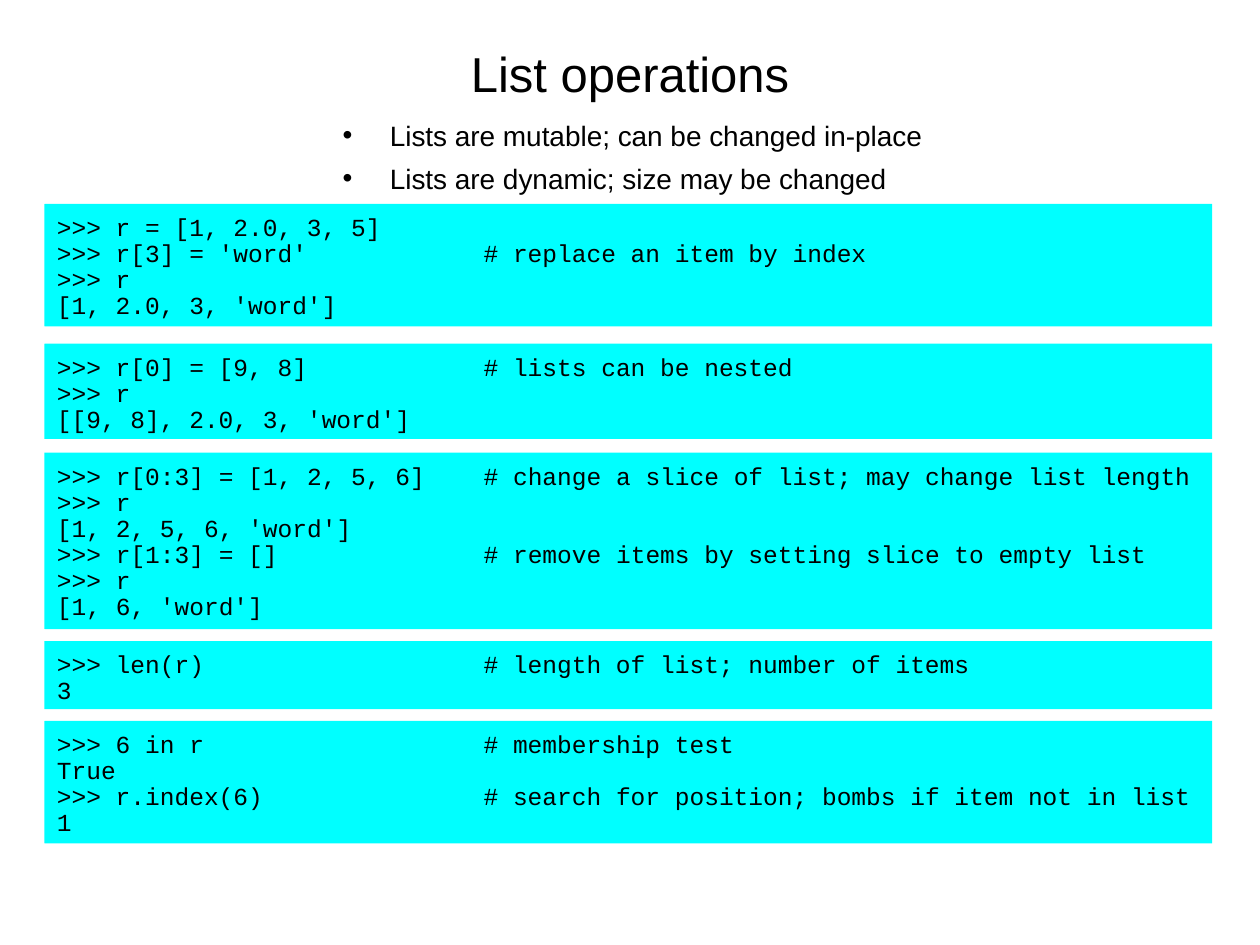
from dataclasses import dataclass

from lxml.etree import SubElement
from pptx import Presentation
from pptx.dml.color import RGBColor
from pptx.enum.shapes import MSO_SHAPE
from pptx.enum.text import MSO_ANCHOR, PP_ALIGN
from pptx.oxml.ns import qn
from pptx.util import Pt

TITLE = "List operations"
POINTS = [
    "Lists are mutable; can be changed in-place",
    "Lists are dynamic; size may be changed",
]
# Each code panel: top edge in points, then its lines
PANELS = [
    (116.6, [
        ">>> r = [1, 2.0, 3, 5]",
        ">>> r[3] = 'word'            # replace an item by index",
        ">>> r",
        "[1, 2.0, 3, 'word']",
    ]),
    (196.4, [
        ">>> r[0] = [9, 8]            # lists can be nested",
        ">>> r",
        "[[9, 8], 2.0, 3, 'word']",
    ]),
    (258.6, [
        ">>> r[0:3] = [1, 2, 5, 6]    # change a slice of list; may change list length",
        ">>> r",
        "[1, 2, 5, 6, 'word']",
        ">>> r[1:3] = []              # remove items by setting slice to empty list",
        ">>> r",
        "[1, 6, 'word']",
    ]),
    (366.4, [
        ">>> len(r)                   # length of list; number of items",
        "3",
    ]),
    (412, [
        ">>> 6 in r                   # membership test",
        "True",
        ">>> r.index(6)               # search for position; bombs if item not in list",
        "1",
    ]),
]


@dataclass(frozen=True)
class Theme:
    ink: RGBColor = RGBColor(0, 0, 0)
    panel: RGBColor = RGBColor(0, 255, 255)
    text_font: str = "Arial"
    code_font: str = "Courier New"
    title_size: float = 28
    point_size: float = 16
    code_size: float = 14


theme = Theme()
PANEL_LEFT, PANEL_WIDTH = 25.4, 667.3
PANEL_PADDING, PANEL_LINE = 7.9, 15.5
CODE_PITCH = 14.9
BULLET_INDENT = 27


def set_text(box, lines, font, size, insets=(0, 0, 0, 0), align=PP_ALIGN.LEFT):
    """Fill a box with one paragraph per line and return the paragraphs."""
    frame = box.text_frame
    frame.word_wrap = True
    frame.vertical_anchor = MSO_ANCHOR.TOP
    (frame.margin_left, frame.margin_top,
     frame.margin_right, frame.margin_bottom) = map(Pt, insets)
    frame.text = "\n".join(lines)
    for paragraph in frame.paragraphs:
        paragraph.alignment = align
        for span in paragraph.runs:
            span.font.name = font
            span.font.size = Pt(size)
            span.font.color.rgb = theme.ink
    return frame.paragraphs


def add_bullet(paragraph):
    properties = paragraph._p.get_or_add_pPr()
    properties.set("marL", str(Pt(BULLET_INDENT)))
    properties.set("indent", str(-Pt(BULLET_INDENT)))
    SubElement(properties, qn("a:buFont")).set("typeface", theme.text_font)
    SubElement(properties, qn("a:buChar")).set("char", "•")


def add_panel(page, top, lines):
    height = PANEL_PADDING + PANEL_LINE * len(lines)
    panel = page.shapes.add_shape(
        MSO_SHAPE.ROUNDED_RECTANGLE,
        Pt(PANEL_LEFT), Pt(top), Pt(PANEL_WIDTH), Pt(height))
    panel.adjustments[0] = 0.002
    panel.shadow.inherit = False
    panel.fill.solid()
    panel.fill.fore_color.rgb = theme.panel
    panel.line.fill.background()
    for paragraph in set_text(panel, lines, theme.code_font, theme.code_size,
                              insets=(7.2, 6.4, 7.2, 0)):
        paragraph.line_spacing = Pt(CODE_PITCH)


deck = Presentation()
deck.slide_width, deck.slide_height = Pt(720), Pt(540)
page = deck.slides.add_slide(deck.slide_layouts[6])

# Title
title = page.shapes.add_textbox(Pt(54), Pt(20.2), Pt(612), Pt(35.3))
set_text(title, [TITLE], theme.text_font, theme.title_size,
         insets=(0, 4.5, 0, 0), align=PP_ALIGN.CENTER)

# Key points
points = page.shapes.add_textbox(Pt(195.8), Pt(65.5), Pt(345.6), Pt(45.4))
for number, paragraph in enumerate(set_text(
        points, POINTS, theme.text_font, theme.point_size, insets=(0, 2, 0, 0))):
    paragraph.space_before = Pt(5.5 if number else 0)
    add_bullet(paragraph)

# Code panels
for top, lines in PANELS:
    add_panel(page, top, lines)

deck.save("out.pptx")
